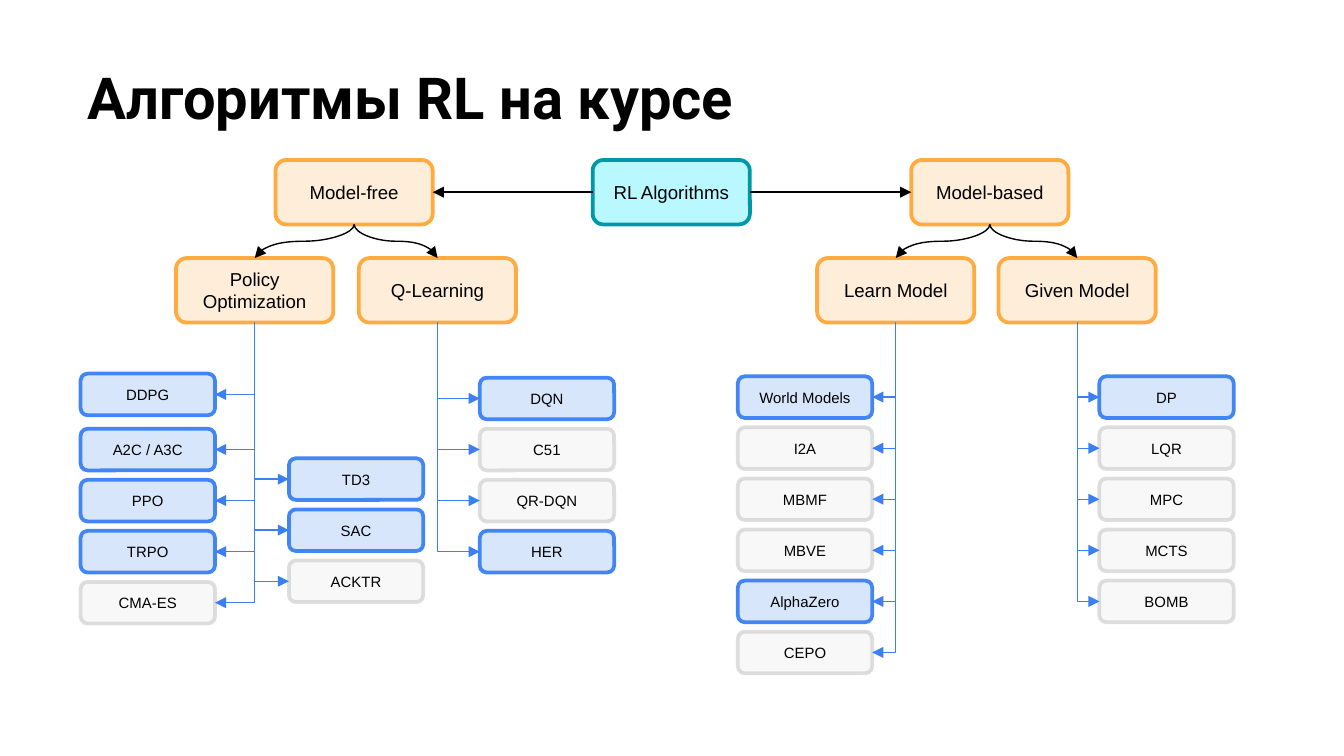
"""Build a slide with the family tree of RL algorithms covered in the course."""
from dataclasses import dataclass

from pptx import Presentation
from pptx.dml.color import RGBColor
from pptx.enum.shapes import MSO_CONNECTOR, MSO_SHAPE
from pptx.enum.text import MSO_ANCHOR, PP_ALIGN
from pptx.oxml.ns import qn
from pptx.util import Inches, Pt
from lxml.etree import SubElement

TITLE = "Алгоритмы RL на курсе"
ROOT = ("RL Algorithms", 4.41)
FAMILIES = [
    ("Model-free", 2.05, ["Policy Optimization", "Q-Learning"]),
    ("Model-based", 6.78, ["Learn Model", "Given Model"]),
]
BRANCHES = {
    "Policy Optimization": 1.31,
    "Q-Learning": 2.67,
    "Learn Model": 6.08,
    "Given Model": 7.43,
}
COLUMNS = [
    ("Policy Optimization", 0.6, 2.78, ["DDPG"]),
    ("Policy Optimization", 0.6, 3.19, ["A2C / A3C", "PPO", "TRPO", "CMA-ES"]),
    ("Policy Optimization", 2.15, 3.41, ["TD3", "SAC", "ACKTR"]),
    ("Q-Learning", 3.57, 2.81, ["DQN", "C51", "QR-DQN", "HER"]),
    ("Learn Model", 5.49, 2.8,
     ["World Models", "I2A", "MBMF", "MBVE", "AlphaZero", "CEPO"]),
    ("Given Model", 8.18, 2.8, ["DP", "LQR", "MPC", "MCTS", "BOMB"]),
]
COVERED = {"DDPG", "A2C / A3C", "PPO", "TRPO", "TD3", "SAC", "DQN", "HER",
           "World Models", "AlphaZero", "DP"}

FAMILY_TOP, BRANCH_TOP, LEAF_STEP = 1.19, 1.92, 0.38
NODE_W, NODE_H = 1.17, 0.48
LEAF_W, LEAF_H = 1, 0.31


@dataclass(frozen=True)
class Theme:
    ink: str = "000000"
    link: str = "3B7FF2"
    root: tuple = ("BAF8FF", "0097A7", 100)
    group: tuple = ("FEEDD8", "FFAB40", 100)
    covered: tuple = ("D8E6FC", "4285F4", 100)
    skipped: tuple = ("F2F2F2", "BFBFBF", 50)
    title_font: str = "Roboto"
    body_font: str = "Arial"
    title_size: float = 31
    node_size: float = 10
    leaf_size: float = 8
    border: float = 2
    wire: float = 0.75


T = Theme()


def write(tf, text, *, size, font=T.body_font, bold=False,
          align=PP_ALIGN.CENTER, anchor=MSO_ANCHOR.MIDDLE, pad=0.05):
    tf.word_wrap = True
    tf.vertical_anchor = anchor
    tf.margin_left = tf.margin_right = Inches(0.1)
    tf.margin_top = tf.margin_bottom = Inches(pad)
    p = tf.paragraphs[0]
    p.alignment = align
    r = p.add_run()
    r.text = text
    r.font.name, r.font.size, r.font.bold = font, Pt(size), bold
    r.font.color.rgb = RGBColor.from_string(T.ink)


def box(s, text, x, y, w, h, style, size):
    fill, line, opacity = style
    sp = s.shapes.add_shape(MSO_SHAPE.ROUNDED_RECTANGLE, Inches(x), Inches(y),
                            Inches(w), Inches(h))
    sp.shadow.inherit = False
    sp.fill.solid()
    sp.fill.fore_color.rgb = RGBColor.from_string(fill)
    sp.line.color.rgb = RGBColor.from_string(line)
    sp.line.width = Pt(T.border)
    if opacity < 100:
        for clr in sp._element.spPr.iter(qn("a:srgbClr")):
            SubElement(clr, qn("a:alpha")).set("val", str(opacity * 1000))
    write(sp.text_frame, text, size=size)


def node(s, text, x, y, style=T.group):
    box(s, text, x, y, NODE_W, NODE_H, style, T.node_size)


def arrow(s, kind, x1, y1, x2, y2, color):
    ends = (x1, y1, x2, y2)
    turned = kind != MSO_CONNECTOR.STRAIGHT
    if turned:
        run, drop = abs(x2 - x1), y2 - y1
        left, top = (x1 + x2 - drop) / 2, (y1 + y2 - run) / 2
        ends = (left, top, left + drop, top + run)
        if x2 > x1:
            ends = (left + drop, top, left, top + run)
    c = s.shapes.add_connector(kind, *map(Inches, ends))
    c.line.color.rgb = RGBColor.from_string(color)
    c.line.width = Pt(T.wire)
    spPr = c._element.spPr
    if turned:
        spPr.find(qn("a:xfrm")).set("rot", "16200000" if x2 > x1 else "5400000")
    if kind == MSO_CONNECTOR.ELBOW:
        spPr.find(qn("a:prstGeom")).set("prst", "bentConnector2")
    SubElement(spPr.find(qn("a:ln")), qn("a:tailEnd")).set("type", "triangle")
    SubElement(spPr, qn("a:effectLst"))


def draw_families(s):
    name, root_x = ROOT
    node(s, name, root_x, FAMILY_TOP, T.root)
    mid = FAMILY_TOP + NODE_H / 2
    for family, x, branches in FAMILIES:
        node(s, family, x, FAMILY_TOP)
        start, end = (root_x, x + NODE_W) if x < root_x else (root_x + NODE_W, x)
        arrow(s, MSO_CONNECTOR.STRAIGHT, start, mid, end, mid, T.ink)
        for branch in branches:
            bx = BRANCHES[branch]
            node(s, branch, bx, BRANCH_TOP)
            arrow(s, MSO_CONNECTOR.CURVE, x + NODE_W / 2, FAMILY_TOP + NODE_H,
                  bx + NODE_W / 2, BRANCH_TOP, T.ink)


def draw_columns(s):
    for branch, x, top, leaves in COLUMNS:
        stem = BRANCHES[branch] + NODE_W / 2
        edge = x if x > stem else x + LEAF_W
        for i, leaf in enumerate(leaves):
            y = top + i * LEAF_STEP
            style = T.covered if leaf in COVERED else T.skipped
            box(s, leaf, x, y, LEAF_W, LEAF_H, style, T.leaf_size)
            arrow(s, MSO_CONNECTOR.ELBOW, stem, BRANCH_TOP + NODE_H,
                  edge, y + LEAF_H / 2, T.link)


def main():
    prs = Presentation()
    prs.slide_width = Inches(10)
    prs.slide_height = Inches(10 * 9 / 16)
    s = prs.slides.add_slide(prs.slide_layouts[6])
    tb = s.shapes.add_textbox(Inches(0.55), Inches(0.36), Inches(9.32), Inches(1.07))
    write(tb.text_frame, TITLE, size=T.title_size, font=T.title_font, bold=True,
          align=PP_ALIGN.LEFT, anchor=MSO_ANCHOR.TOP, pad=0.1)
    draw_families(s)
    draw_columns(s)
    prs.save("out.pptx")


if __name__ == "__main__":
    main()
